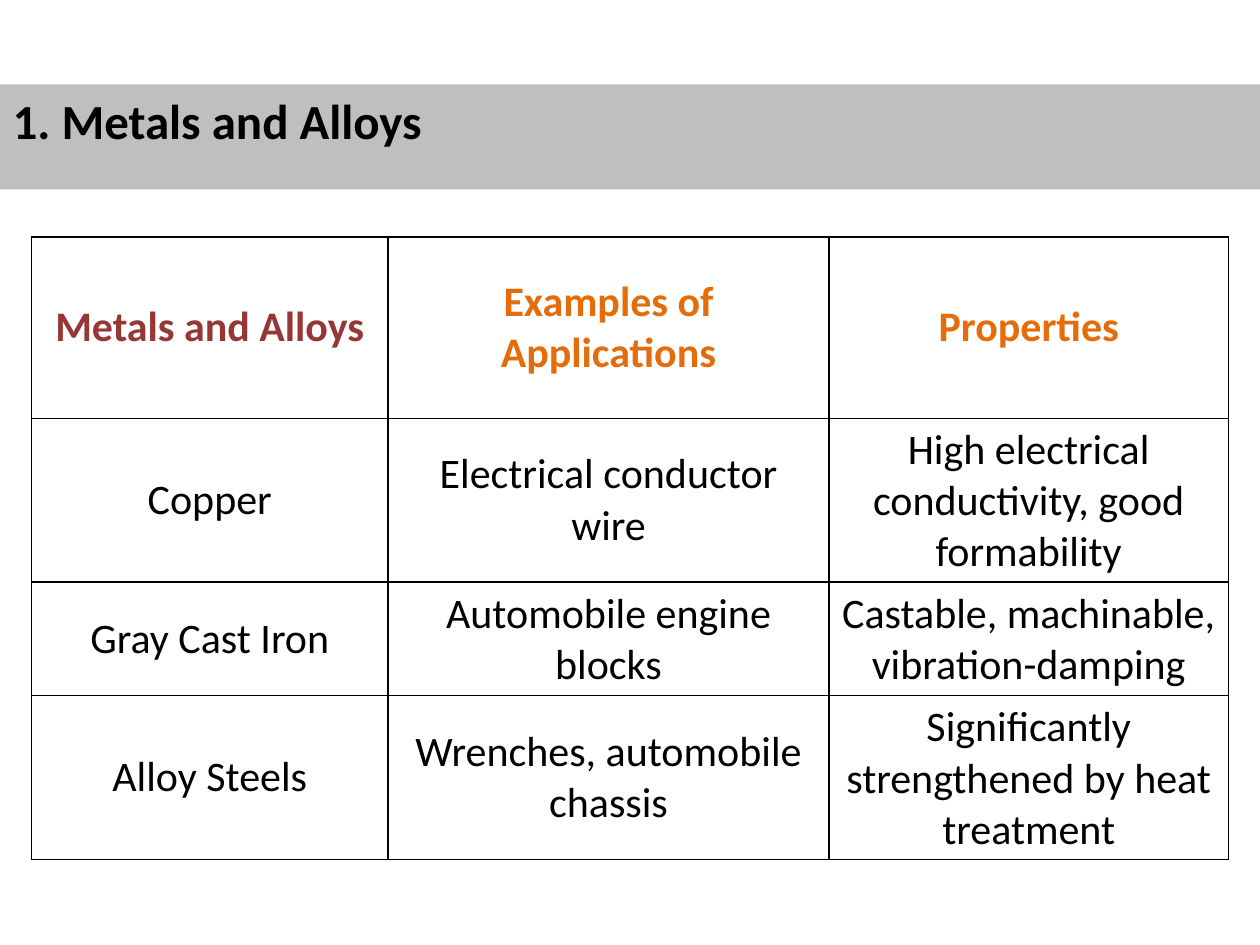
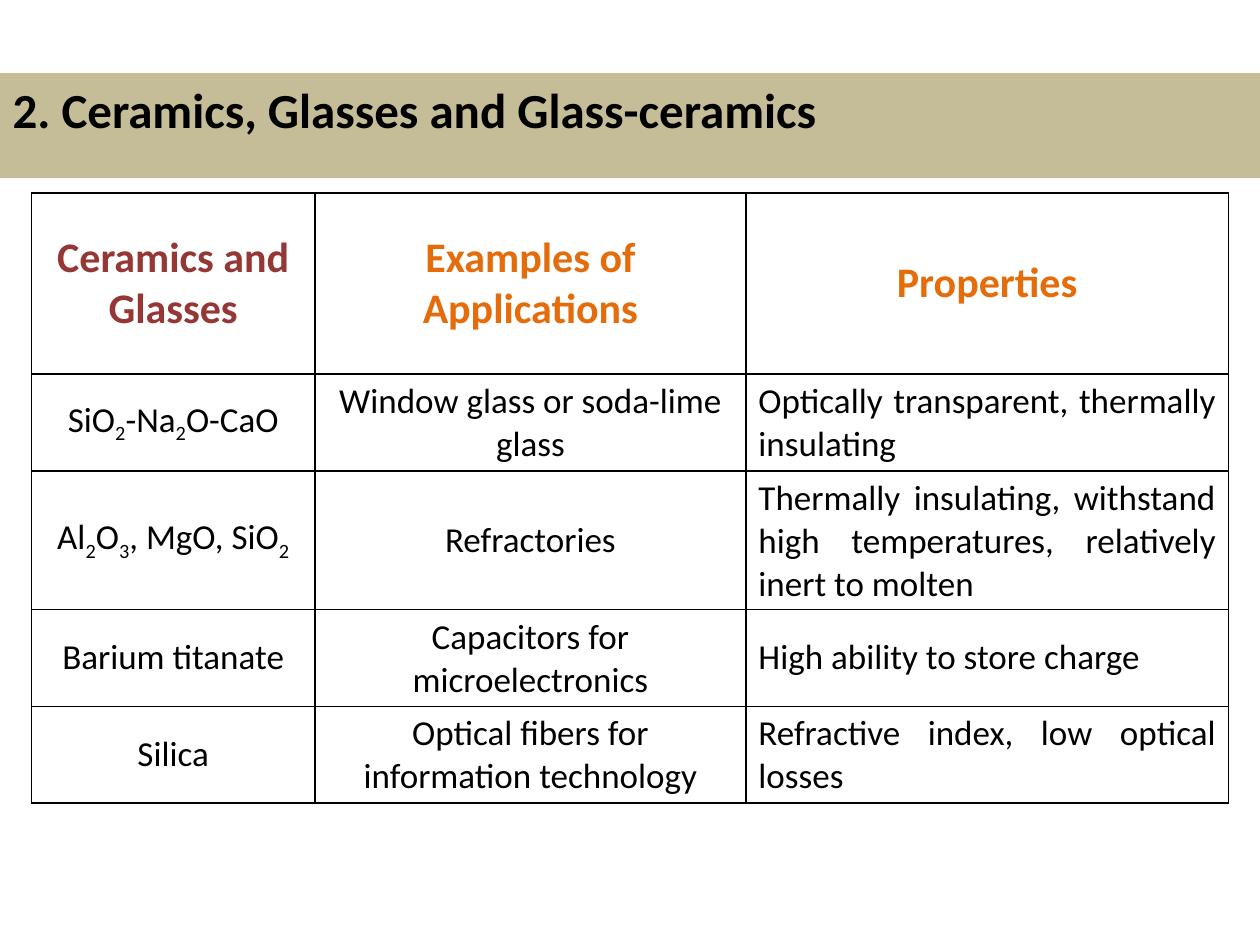
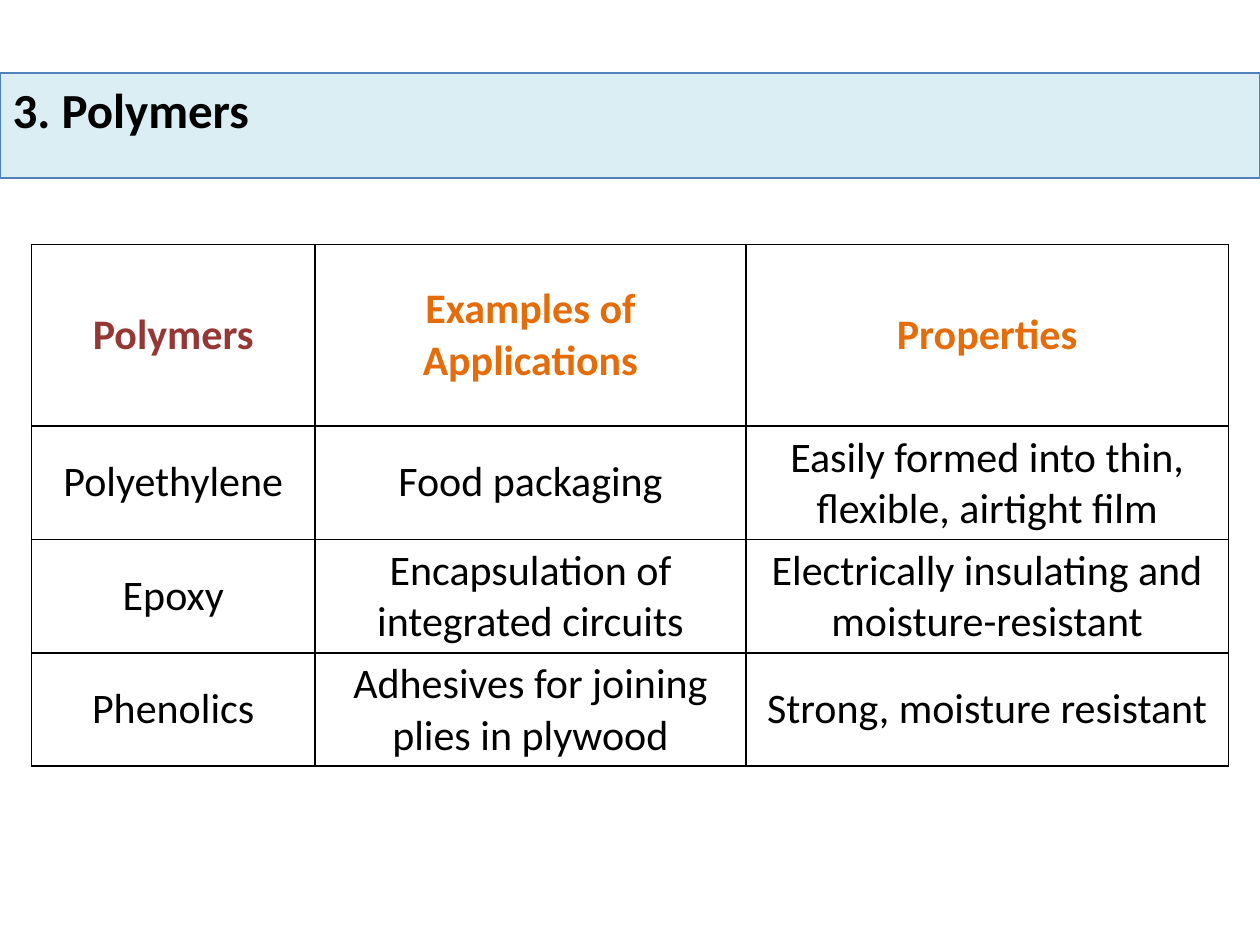
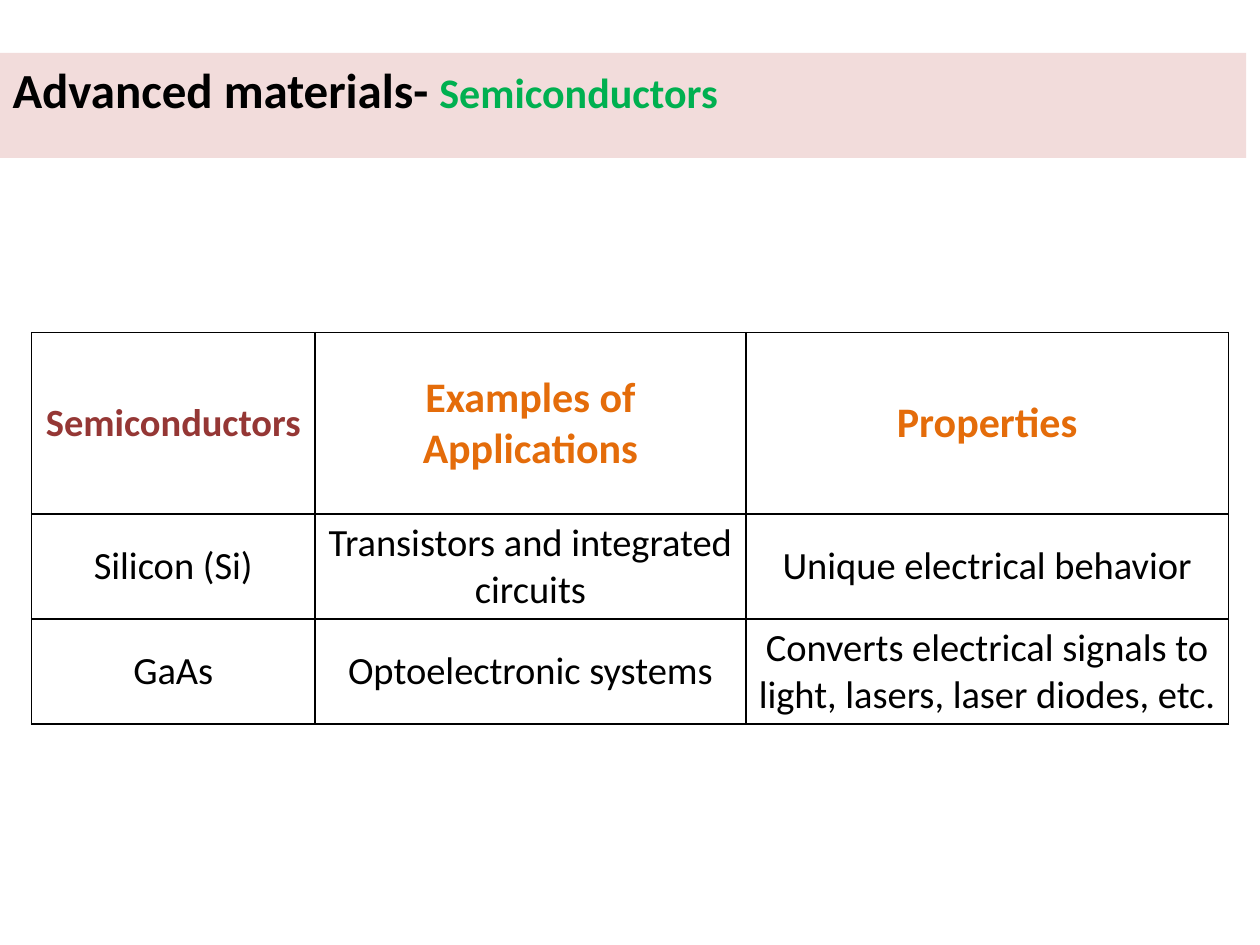
from dataclasses import dataclass

from lxml import etree
from pptx import Presentation
from pptx.dml.color import RGBColor
from pptx.enum.text import MSO_ANCHOR, MSO_AUTO_SIZE, PP_ALIGN
from pptx.oxml.ns import qn
from pptx.util import Emu, Pt

LEFT, CENTER, JUSTIFY = PP_ALIGN.LEFT, PP_ALIGN.CENTER, PP_ALIGN.JUSTIFY
TOP, MIDDLE = MSO_ANCHOR.TOP, MSO_ANCHOR.MIDDLE
GROW = MSO_AUTO_SIZE.SHAPE_TO_FIT_TEXT

# Shared style: 100 px to the inch
EMU_PER_PX = 9144
FONT = "Calibri"
BLACK, MAROON, ORANGE, GREEN = "000000", "953735", "E46C0A", "00B050"
TITLE_SIZE, HEADER_SIZE = 28, 24
BAND_HEIGHT = 57
TABLE_LEFT, HEADER_HEIGHT, ROW_HEIGHT = 25, 144, 72
BORDER_POINTS = 1
WIDE_FIRST = (283, 350, 317)
WIDE_LAST = (225, 342, 383)
TITLE_ONLY_LAYOUT = 5
SUBSCRIPT_MARK = "~"


@dataclass
class Band:
    title: str
    top: int
    fill: str
    width: int = 1000
    line: str = ""
    alignment: PP_ALIGN = LEFT
    suffix: str = ""


@dataclass
class MaterialTable:
    top: int
    height: int
    columns: tuple[int, ...]
    heading: str
    rows: list[tuple[str, str, str]]
    heading_size: int = HEADER_SIZE
    body_size: int = 24
    property_alignment: PP_ALIGN = CENTER


def px(length: int) -> Emu:
    return Emu(length * EMU_PER_PX)


def color(value: str) -> RGBColor:
    return RGBColor.from_string(value)


def add_text(paragraph, text: str, *, size: int, fill: str = BLACK,
             bold: bool = False, alignment: PP_ALIGN = CENTER) -> None:
    """Add text; parts between subscript marks are lowered."""
    paragraph.alignment = alignment
    for index, part in enumerate(text.split(SUBSCRIPT_MARK)):
        if not part:
            continue
        run = paragraph.add_run()
        run.text = part
        run.font.name = FONT
        run.font.size = Pt(size)
        run.font.bold = bold
        run.font.color.rgb = color(fill)
        if index % 2:
            run.font._element.set("baseline", "-25000")


def add_band(slide, band: Band) -> None:
    shape = slide.shapes.title
    shape.left, shape.top = px(0), px(band.top)
    shape.width, shape.height = px(band.width), px(BAND_HEIGHT)
    shape.fill.solid()
    shape.fill.fore_color.rgb = color(band.fill)
    if band.line:
        shape.line.color.rgb = color(band.line)
        shape.line.width = Pt(0.75)
    frame = shape.text_frame
    frame.word_wrap = True
    frame.auto_size = GROW
    frame.vertical_anchor = TOP
    paragraph = frame.paragraphs[0]
    add_text(paragraph, band.title, size=TITLE_SIZE, bold=True,
             alignment=band.alignment)
    if band.suffix:
        add_text(paragraph, band.suffix, size=HEADER_SIZE, fill=GREEN,
                 bold=True, alignment=band.alignment)


def add_borders(cell) -> None:
    properties = cell._tc.get_or_add_tcPr()
    for position, side in enumerate(("lnL", "lnR", "lnT", "lnB")):
        line = etree.Element(qn(f"a:{side}"), w=str(Pt(BORDER_POINTS)))
        fill = etree.SubElement(line, qn("a:solidFill"))
        etree.SubElement(fill, qn("a:srgbClr"), val=BLACK)
        properties.insert(position, line)


def add_material_table(slide, content: MaterialTable) -> None:
    rows = [(content.heading, "Examples of Applications", "Properties"),
            *content.rows]
    graphic = slide.shapes.add_table(
        len(rows), len(content.columns), px(TABLE_LEFT), px(content.top),
        px(sum(content.columns)), px(content.height))
    table = graphic.table
    table.first_row = table.horz_banding = False
    for column, width in zip(table.columns, content.columns):
        column.width = px(width)
    for row_index, texts in enumerate(rows):
        is_header = row_index == 0
        table.rows[row_index].height = px(HEADER_HEIGHT if is_header else ROW_HEIGHT)
        for column_index, text in enumerate(texts):
            cell = table.cell(row_index, column_index)
            cell.fill.background()
            cell.vertical_anchor = MIDDLE
            add_borders(cell)
            paragraph = cell.text_frame.paragraphs[0]
            if is_header:
                is_first = column_index == 0
                add_text(paragraph, text, bold=True,
                         size=content.heading_size if is_first else HEADER_SIZE,
                         fill=MAROON if is_first else ORANGE)
            else:
                is_property = column_index == len(texts) - 1
                add_text(paragraph, text, size=content.body_size,
                         alignment=content.property_alignment if is_property else CENTER)
    graphic.height = px(content.height)


# Content of each slide
SLIDES = [
    (Band("1. Metals and Alloys", 67, "BFBFBF"),
     MaterialTable(188, 494, WIDE_FIRST, "Metals and Alloys", [
         ("Copper", "Electrical conductor wire",
          "High electrical conductivity, good formability"),
         ("Gray Cast Iron", "Automobile engine blocks",
          "Castable, machinable, vibration-damping"),
         ("Alloy Steels", "Wrenches, automobile chassis",
          "Significantly strengthened by heat treatment"),
     ])),
    (Band("2. Ceramics, Glasses and Glass-ceramics", 58, "C4BD97",
          alignment=JUSTIFY),
     MaterialTable(153, 484, WIDE_LAST, "Ceramics and Glasses", [
         ("SiO~2~-Na~2~O-CaO", "Window glass or soda-lime glass",
          "Optically transparent, thermally insulating"),
         ("Al~2~O~3~, MgO, SiO~2~", "Refractories",
          "Thermally insulating, withstand high temperatures, "
          "relatively inert to molten"),
         ("Barium titanate", "Capacitors for microelectronics",
          "High ability to store charge"),
         ("Silica", "Optical fibers for information technology",
          "Refractive index, low optical losses"),
     ], body_size=20, property_alignment=JUSTIFY)),
    (Band("3. Polymers", 58, "DBEEF4", line="4F81BD"),
     MaterialTable(194, 414, WIDE_LAST, "Polymers", [
         ("Polyethylene", "Food packaging",
          "Easily formed into thin, flexible, airtight film"),
         ("Epoxy", "Encapsulation of integrated circuits",
          "Electrically insulating and moisture-resistant"),
         ("Phenolics", "Adhesives for joining plies in plywood",
          "Strong, moisture resistant"),
     ])),
    (Band("Advanced materials- ", 42, "F2DCDB", width=989, alignment=JUSTIFY,
          suffix="Semiconductors"),
     MaterialTable(264, 311, WIDE_LAST, "Semiconductors", [
         ("Silicon (Si)", "Transistors and integrated circuits",
          "Unique electrical behavior"),
         ("GaAs", "Optoelectronic systems",
          "Converts electrical signals to light, lasers, laser diodes, etc."),
     ], heading_size=22, body_size=22)),
]


def main() -> None:
    presentation = Presentation()
    presentation.slide_width, presentation.slide_height = px(1000), px(750)
    layout = presentation.slide_layouts[TITLE_ONLY_LAYOUT]
    for band, table in SLIDES:
        slide = presentation.slides.add_slide(layout)
        add_band(slide, band)
        add_material_table(slide, table)
    presentation.save("out.pptx")


if __name__ == "__main__":
    main()
